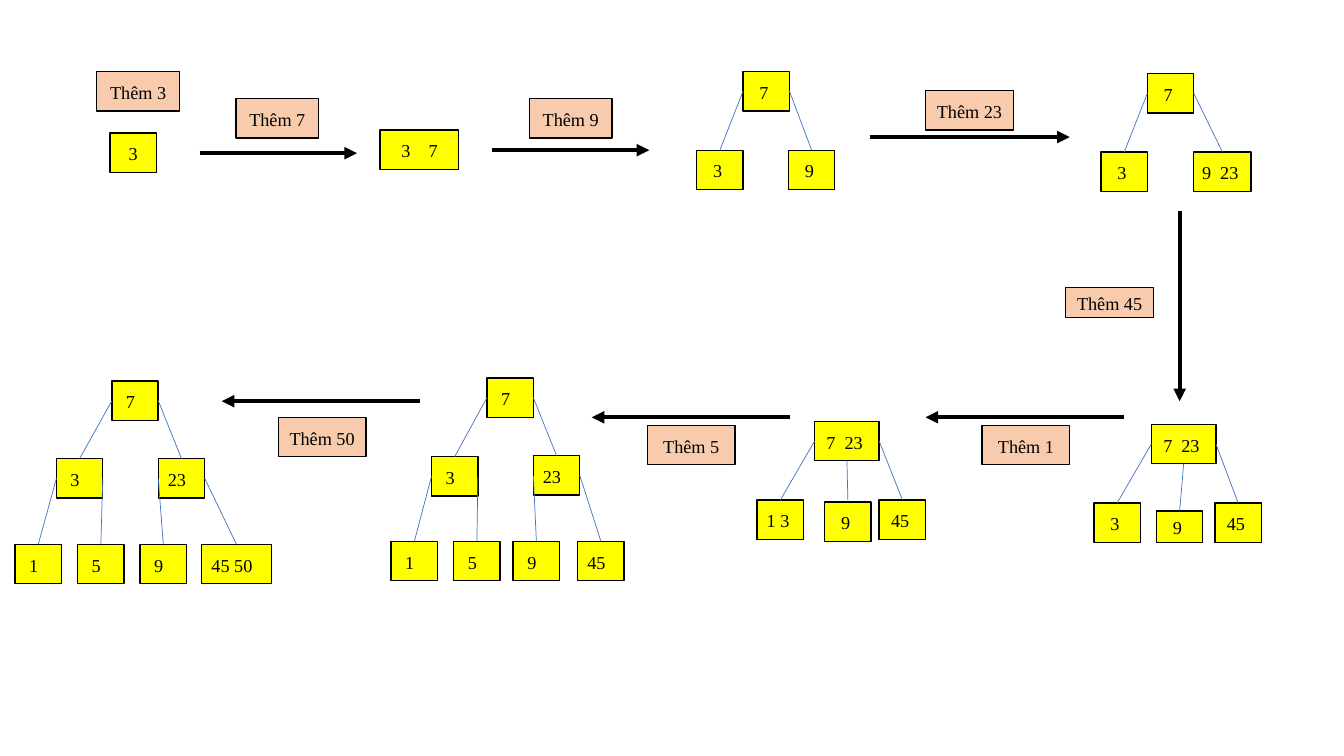
from lxml.etree import SubElement
from pptx import Presentation
from pptx.dml.color import RGBColor
from pptx.enum.shapes import MSO_CONNECTOR, MSO_SHAPE
from pptx.enum.text import MSO_ANCHOR, PP_ALIGN
from pptx.oxml.ns import qn
from pptx.util import Inches, Pt

deck = Presentation()
deck.slide_width, deck.slide_height = Inches(13.33), Inches(7.5)
slide = deck.slides.add_slide(deck.slide_layouts[6])

CELL = Inches(0.1)
KEY_WIDTH, PAIR_WIDTH, BOX_HEIGHT = 4.6, 6.4, 3.9
LEFT, MIDDLE, RIGHT = 0, 0.5, 1
YELLOW, PEACH, BLACK, BLUE = "FFFF00", "F8CBAD", "000000", "4472C4"
FRAME = {"margin_left": 0, "margin_top": 0, "margin_bottom": 0,
         "word_wrap": True, "vertical_anchor": MSO_ANCHOR.MIDDLE}
PARAGRAPH = {"alignment": PP_ALIGN.CENTER, "line_spacing": 1.07, "space_after": Pt(8)}
FONT = {"name": "Times New Roman", "size": Pt(13)}


def add_box(text, left, top, width, height, fill, right_inset=0.0):
    box = slide.shapes.add_shape(
        MSO_SHAPE.RECTANGLE, *(round(cells * CELL) for cells in (left, top, width, height)))
    box.shadow.inherit = False
    box.fill.solid()
    box.fill.fore_color.rgb = RGBColor.from_string(fill)
    box.line.color.rgb = RGBColor.from_string(BLACK)
    box.line.width = Pt(1)
    frame = box.text_frame
    frame.margin_right = round(right_inset * CELL)
    paragraph = frame.paragraphs[0]
    run = paragraph.add_run()
    run.text = text
    run.font.color.rgb = RGBColor.from_string(BLACK)
    for target, values in ((frame, FRAME), (paragraph, PARAGRAPH), (run.font, FONT)):
        for attribute, value in values.items():
            setattr(target, attribute, value)


def add_line(ends, color, weight, arrow=False):
    line = slide.shapes.add_connector(
        MSO_CONNECTOR.STRAIGHT, *(round(cells * CELL) for cells in ends))
    line.line.color.rgb = RGBColor.from_string(color)
    line.line.width = Pt(weight)
    properties = line._element.spPr
    if arrow:
        SubElement(properties.find(qn("a:ln")), qn("a:tailEnd"), type="triangle")
    SubElement(properties, qn("a:effectLst"))


# keys, left, top, width, height, parent index, side of the parent
trees = [
    (0, [("3", 10.9, 13.2, KEY_WIDTH, BOX_HEIGHT, None, None)]),
    (0, [("3    7", 37.7, 12.9, 7.8, BOX_HEIGHT, None, None)]),
    (0.45, [
        ("7", 73.7, 7.1, KEY_WIDTH, BOX_HEIGHT, None, None),
        ("3", 69.1, 14.9, KEY_WIDTH, BOX_HEIGHT, 0, LEFT),
        ("9", 78.2, 14.9, KEY_WIDTH, BOX_HEIGHT, 0, RIGHT),
    ]),
    (0.45, [
        ("7", 113.8, 7.3, KEY_WIDTH, BOX_HEIGHT, None, None),
        ("3", 109.2, 15.1, KEY_WIDTH, BOX_HEIGHT, 0, LEFT),
        ("9  23", 118.4, 15.1, 5.7, BOX_HEIGHT, 0, RIGHT),
    ]),
    (0.45, [
        ("7  23", 114.2, 42.1, PAIR_WIDTH, BOX_HEIGHT, None, None),
        ("3", 108.5, 49.9, KEY_WIDTH, BOX_HEIGHT, 0, LEFT),
        ("45", 120.5, 49.9, KEY_WIDTH, BOX_HEIGHT, 0, RIGHT),
        ("9", 114.7, 50.7, KEY_WIDTH, 3.1, 0, MIDDLE),
    ]),
    (0.45, [
        ("7  23", 80.8, 41.8, PAIR_WIDTH, BOX_HEIGHT, None, None),
        ("1 3", 75.1, 49.6, KEY_WIDTH, BOX_HEIGHT, 0, LEFT),
        ("45", 87.2, 49.6, KEY_WIDTH, BOX_HEIGHT, 0, RIGHT),
        ("9", 81.8, 49.8, KEY_WIDTH, BOX_HEIGHT, 0, MIDDLE),
    ]),
    (0.9, [
        ("7", 48.3, 37.5, KEY_WIDTH, BOX_HEIGHT, None, None),
        ("3", 42.8, 45.3, KEY_WIDTH, BOX_HEIGHT, 0, LEFT),
        ("23", 52.9, 45.2, KEY_WIDTH, BOX_HEIGHT, 0, RIGHT),
        ("1", 38.8, 53.7, KEY_WIDTH, BOX_HEIGHT, 1, LEFT),
        ("5", 45, 53.7, KEY_WIDTH, BOX_HEIGHT, 1, RIGHT),
        ("9", 50.9, 53.7, KEY_WIDTH, BOX_HEIGHT, 2, LEFT),
        ("45", 57.3, 53.7, KEY_WIDTH, BOX_HEIGHT, 2, RIGHT),
    ]),
    (0.9, [
        ("7", 11.1, 37.8, KEY_WIDTH, BOX_HEIGHT, None, None),
        ("3", 5.6, 45.5, KEY_WIDTH, BOX_HEIGHT, 0, LEFT),
        ("23", 15.7, 45.5, KEY_WIDTH, BOX_HEIGHT, 0, RIGHT),
        ("1", 1.5, 54, KEY_WIDTH, BOX_HEIGHT, 1, LEFT),
        ("5", 7.7, 54, KEY_WIDTH, BOX_HEIGHT, 1, RIGHT),
        ("9", 13.9, 54, KEY_WIDTH, BOX_HEIGHT, 2, LEFT),
        ("45 50", 20, 54, 6.9, BOX_HEIGHT, 2, RIGHT),
    ]),
]
for right_inset, nodes in trees:
    for keys, left, top, width, height, parent, side in nodes:
        add_box(keys, left, top, width, height, YELLOW, right_inset)
        if parent is not None:
            _, parent_left, parent_top, parent_width, parent_height, *_ = nodes[parent]
            drop = 1 if side == MIDDLE else 0.5
            add_line((left + width / 2, top, parent_left + side * parent_width,
                      parent_top + drop * parent_height), BLUE, 0.5)

insertions = [
    (3, 9.6, 7.1, 8.2, BOX_HEIGHT, None),
    (7, 23.4, 9.8, 8.2, BOX_HEIGHT, (19.8, 15.2, 35.4, 15.2)),
    (9, 52.5, 9.8, 8.2, BOX_HEIGHT, (48.8, 14.9, 64.4, 14.9)),
    (23, 91.8, 9, 8.7, BOX_HEIGHT, (86.3, 13.6, 106.1, 13.6)),
    (45, 105.7, 28.5, 8.7, 3, (117, 20.9, 117, 39.8)),
    (1, 97.4, 42.2, 8.7, BOX_HEIGHT, (111.5, 41.4, 91.8, 41.4)),
    (5, 64.2, 42.2, 8.7, BOX_HEIGHT, (78.4, 41.4, 58.7, 41.4)),
    (50, 27.6, 41.4, 8.7, BOX_HEIGHT, (41.7, 39.8, 22, 39.8)),
]
for key, left, top, width, height, arrow_ends in insertions:
    add_box(f"Thêm {key}", left, top, width, height, PEACH)
    if arrow_ends:
        add_line(arrow_ends, BLACK, 3, arrow=True)

deck.save("out.pptx")
